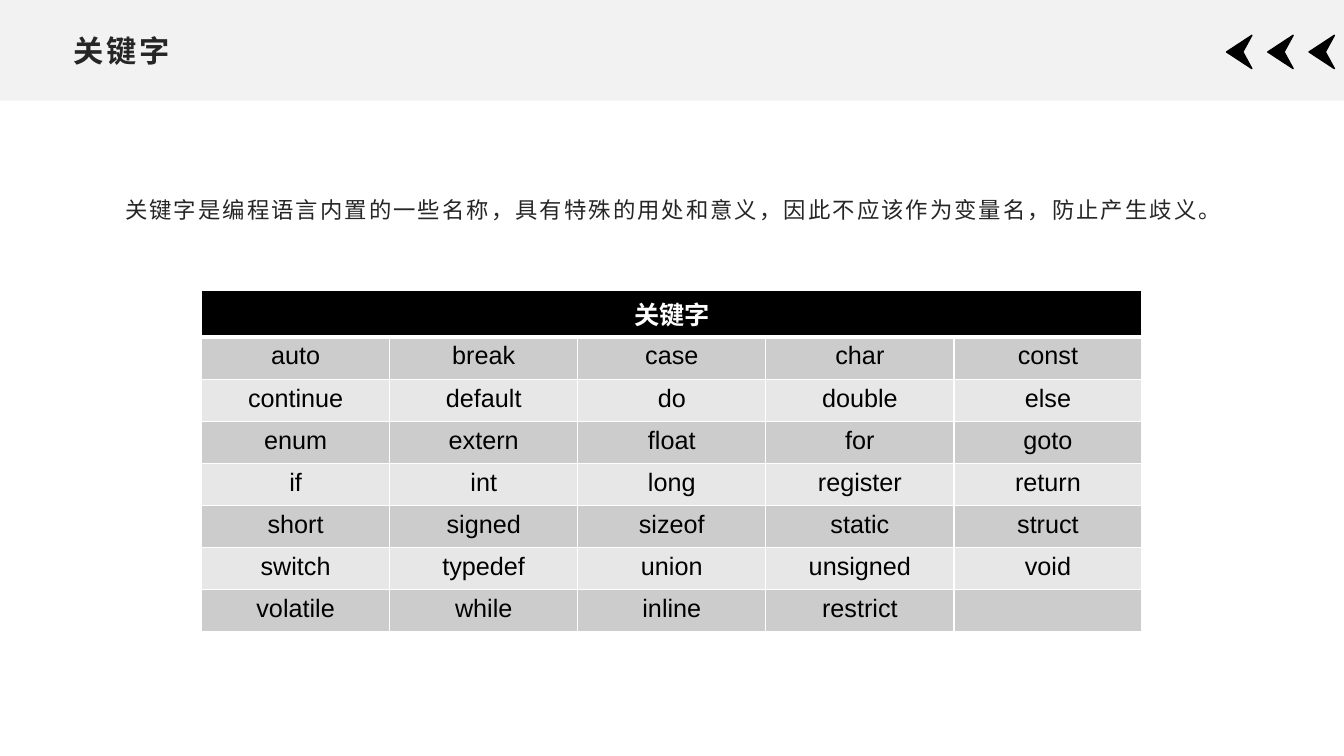
"""Build a slide that lists the reserved keywords of the C language."""
from dataclasses import dataclass

from lxml import etree
from pptx import Presentation
from pptx.dml.color import RGBColor
from pptx.enum import shapes, text
from pptx.oxml import ns
from pptx.util import Cm, Pt


@dataclass(frozen=True)
class Theme:
    font: str = "Arial"
    ink: str = "262626"
    black: str = "000000"
    white: str = "FFFFFF"
    band: str = "F2F2F2"
    row_fills: tuple = ("CCCCCC", "E7E7E7")
    title_size: float = 21.6
    body_size: float = 16
    table_size: float = 18
    thin: float = 1
    thick: float = 3


THEME = Theme()
SLIDE_WIDTH, SLIDE_HEIGHT = Cm(33.87), Cm(19.05)
TITLE = "关键字"
EXPLANATION = "关键字是编程语言内置的一些名称，具有特殊的用处和意义，因此不应该作为变量名，防止产生歧义。"
KEYWORDS = """
auto break case char const
continue default do double else
enum extern float for goto
if int long register return
short signed sizeof static struct
switch typedef union unsigned void
volatile while inline restrict
""".split()
COLUMNS = 5
COLUMN_WIDTH, ROW_HEIGHT = Cm(4.74), Cm(1.06)


def paint(fill, color):
    fill.solid()
    fill.fore_color.rgb = RGBColor.from_string(color)


def write(frame, content, *, size, color=THEME.ink, bold=False, spacing=0,
          align=text.PP_ALIGN.LEFT, line_spacing=None, space_after=None):
    paragraph = frame.paragraphs[0]
    paragraph.alignment = align
    paragraph.line_spacing = line_spacing
    paragraph.space_after = space_after
    run = paragraph.add_run()
    run.text = content
    run.font.name = THEME.font
    run.font.size = Pt(size)
    run.font.bold = bold
    run.font.color.rgb = RGBColor.from_string(color)
    if spacing:
        run.font._element.set("spc", str(round(spacing * 100)))
    return paragraph


def place(placeholder, left, top, width, height, anchor):
    placeholder.left, placeholder.top = left, top
    placeholder.width, placeholder.height = width, height
    frame = placeholder.text_frame
    frame.word_wrap = True
    frame.auto_size = text.MSO_AUTO_SIZE.NONE
    frame.vertical_anchor = anchor
    tree = placeholder.element.getparent()
    tree.append(placeholder.element)
    return frame


def remove_bullet(paragraph):
    properties = paragraph._p.get_or_add_pPr()
    properties.set("marL", "0")
    properties.set("indent", "0")
    etree.SubElement(properties, ns.qn("a:buNone"))


def add_header_band(slide):
    band = slide.shapes.add_shape(
        shapes.MSO_SHAPE.RECTANGLE, 0, 0, SLIDE_WIDTH, Cm(2.54))
    band.shadow.inherit = False
    paint(band.fill, THEME.band)
    band.line.fill.background()


def add_arrowheads(slide, count=3):
    group = slide.shapes.add_group_shape()
    for index in range(count):
        left = 30.91 + 1.04 * index
        outline = [(Cm(left + x), Cm(y)) for x, y in
                   ((0.64, 1.73), (0, 1.31), (0.64, 0.89), (0.41, 1.31))]
        builder = group.shapes.build_freeform(*outline[0])
        builder.add_line_segments(outline[1:], close=True)
        arrowhead = builder.convert_to_shape()
        arrowhead.shadow.inherit = False
        paint(arrowhead.fill, THEME.black)
        paint(arrowhead.line.fill, THEME.black)
        arrowhead.line.width = Pt(THEME.thin)


def format_cell(cell, fill, top, bottom):
    properties = cell._tc.get_or_add_tcPr()
    widths = {"L": THEME.thin, "R": THEME.thin, "T": top, "B": bottom}
    for side, width in widths.items():
        border = etree.SubElement(
            properties, ns.qn(f"a:ln{side}"), w=str(Pt(width)))
        solid = etree.SubElement(border, ns.qn("a:solidFill"))
        etree.SubElement(solid, ns.qn("a:srgbClr"), val=THEME.white)
    paint(cell.fill, fill)


def add_keyword_table(slide):
    row_count = 1 + -(-len(KEYWORDS) // COLUMNS)
    table = slide.shapes.add_table(
        row_count, COLUMNS, Cm(5.08), Cm(7.32),
        COLUMN_WIDTH * COLUMNS, ROW_HEIGHT * row_count).table
    for column in table.columns:
        column.width = COLUMN_WIDTH
    for index, row in enumerate(table.rows):
        row.height = ROW_HEIGHT
        fill = THEME.row_fills[(index - 1) % 2] if index else THEME.black
        for cell in row.cells:
            format_cell(cell, fill,
                        top=THEME.thick if index == 1 else THEME.thin,
                        bottom=THEME.thin if index else THEME.thick)
    heading = table.cell(0, 0)
    heading.merge(table.cell(0, COLUMNS - 1))
    write(heading.text_frame, TITLE, size=THEME.table_size, bold=True,
          color=THEME.white, align=text.PP_ALIGN.CENTER)
    for index, keyword in enumerate(KEYWORDS):
        row, column = divmod(index, COLUMNS)
        write(table.cell(row + 1, column).text_frame, keyword,
              size=THEME.table_size, color=THEME.black,
              align=text.PP_ALIGN.CENTER)


def main():
    presentation = Presentation()
    presentation.slide_width = SLIDE_WIDTH
    presentation.slide_height = SLIDE_HEIGHT
    slide = presentation.slides.add_slide(presentation.slide_layouts[1])
    title, body = slide.placeholders
    add_header_band(slide)
    add_arrowheads(slide)
    title_frame = place(title, Cm(1.6), Cm(0.66), Cm(30.66), Cm(1.22),
                        text.MSO_ANCHOR.MIDDLE)
    write(title_frame, TITLE, size=THEME.title_size, bold=True, spacing=2)
    body_frame = place(body, Cm(2.9), Cm(4.62), Cm(28.12), Cm(1.85),
                       text.MSO_ANCHOR.TOP)
    explanation = write(body_frame, EXPLANATION, size=THEME.body_size,
                        spacing=1.5, line_spacing=1.3, space_after=Pt(10))
    explanation.space_before = Pt(0)
    remove_bullet(explanation)
    add_keyword_table(slide)
    presentation.save("out.pptx")


if __name__ == "__main__":
    main()
